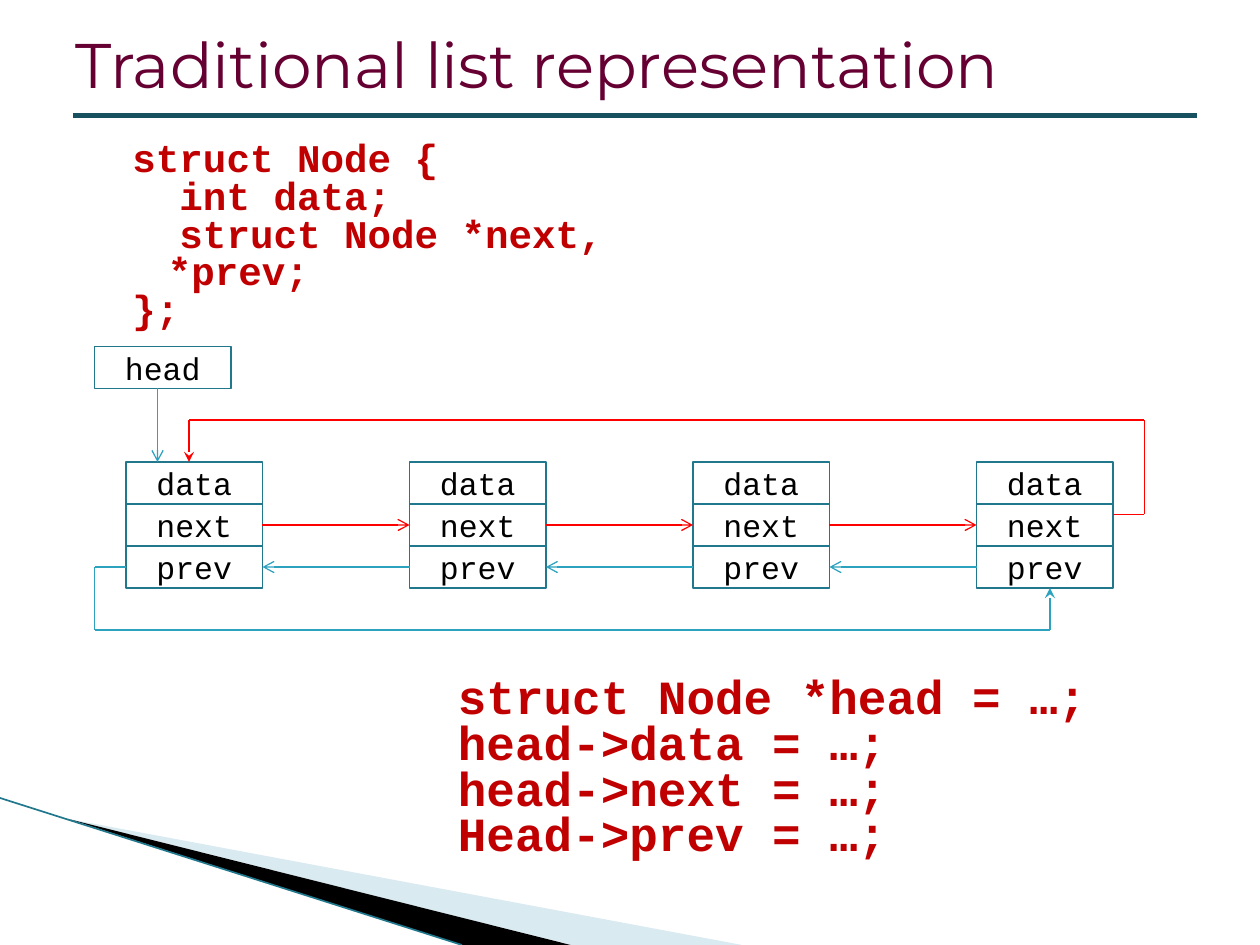
import pptx
import pptx.dml.color
import pptx.enum.shapes
import pptx.enum.text
import pptx.oxml
import pptx.oxml.ns
import pptx.util
from itertools import pairwise

Pt = pptx.util.Pt
RGBColor = pptx.dml.color.RGBColor
MSO_SHAPE = pptx.enum.shapes.MSO_SHAPE
MSO_CONNECTOR = pptx.enum.shapes.MSO_CONNECTOR
MSO_ANCHOR = pptx.enum.text.MSO_ANCHOR
PP_ALIGN = pptx.enum.text.PP_ALIGN

BLACK = RGBColor(0x00, 0x00, 0x00)
PLUM = RGBColor(0x66, 0x00, 0x33)
CODE_RED = RGBColor(0xC0, 0x00, 0x00)
NEXT_RED = RGBColor(0xFF, 0x00, 0x00)
PREV_BLUE = RGBColor(0x2D, 0xA2, 0xBF)
CELL_TEAL = RGBColor(0x21, 0x78, 0x8D)
RULE_TEAL = RGBColor(0x17, 0x51, 0x60)
SWOOSH_BLUE = RGBColor(0xA0, 0xCB, 0xDC)

MONO = "Courier New"
CELL_W, CELL_H = 78, 24
NODE_STEP = 162
FIELDS = ("data", "next", "prev")


def add_xml(parent, tag, **attrs):
    """Append a DrawingML element with the given attributes."""
    el = pptx.oxml.parse_xml(f"<a:{tag} {pptx.oxml.ns.nsdecls('a')}/>")
    for name, value in attrs.items():
        el.set(name, value)
    parent.append(el)


def write(s, text, font=MONO, size=18, color=BLACK, bold=False, align=PP_ALIGN.LEFT,
          anchor=MSO_ANCHOR.MIDDLE, spacing=None, hanging=None):
    """Fill a shape with text, one paragraph per line."""
    tf = s.text_frame
    tf.word_wrap = True
    tf.vertical_anchor = anchor
    for i, line in enumerate(text.split("\n")):
        p = tf.paragraphs[0] if i == 0 else tf.add_paragraph()
        p.alignment = align
        if spacing:
            p.line_spacing = spacing
        if hanging:
            pPr = p._p.get_or_add_pPr()
            pPr.set("marL", str(Pt(hanging[0])))
            pPr.set("indent", str(Pt(hanging[1])))
        r = p.add_run()
        r.text = line
        r.font.name, r.font.size, r.font.bold = font, Pt(size), bold
        r.font.color.rgb = color


def add_route(slide, points, color, width=0.75, arrow=None):
    """Join points with straight connectors, the last one with an arrowhead."""
    for start, end in pairwise(points):
        s = slide.shapes.add_connector(MSO_CONNECTOR.STRAIGHT, *map(Pt, (*start, *end)))
        s.line.color.rgb = color
        s.line.width = Pt(width)
        if arrow and end == points[-1]:
            add_xml(s.line._get_or_add_ln(), "tailEnd", type=arrow)
        add_xml(s._element.spPr, "effectLst")


def add_wedge(slide, points, color, alpha=None):
    """Draw a filled triangle without an outline."""
    builder = slide.shapes.build_freeform(*points[0], scale=Pt(1))
    builder.add_line_segments(points[1:], close=True)
    s = builder.convert_to_shape()
    s.shadow.inherit = False
    s.fill.solid()
    s.fill.fore_color.rgb = color
    s.line.fill.background()
    if alpha:
        clr = s._element.spPr.find(".//" + pptx.oxml.ns.qn("a:srgbClr"))
        add_xml(clr, "alpha", val=str(alpha * 1000))


def add_swoosh(slide, x, y, bottom):
    """Draw the corner decoration starting at the left edge."""
    tip = (x + 39, y + 12)
    add_wedge(slide, [tip, (x + 424, bottom), (x + 326, bottom)], SWOOSH_BLUE, 40)
    add_wedge(slide, [tip, (x + 326, bottom), (x + 264, bottom)], BLACK)
    add_route(slide, [(x, y), (x + 264, bottom)], CELL_TEAL, 0.95)


def add_title(slide, x, y, w, h, text):
    """Place the title and the rule beneath it."""
    s = slide.shapes.add_textbox(*map(Pt, (x, y, w, h)))
    write(s, text, font="Montserrat", size=36, color=PLUM)
    add_route(slide, [(x + 6, y + h), (x + w, y + h)], RULE_TEAL, 3)


def add_code(slide, x, y, w, h, text, size):
    """Place a code listing with hanging indents."""
    s = slide.shapes.add_textbox(*map(Pt, (x, y, w, h)))
    write(s, text, size=size, color=CODE_RED, bold=True, anchor=MSO_ANCHOR.TOP,
          spacing=0.8, hanging=(28.8, -20.2))


def add_cell(slide, x, y, text):
    """Draw one outlined field of a node."""
    s = slide.shapes.add_shape(MSO_SHAPE.RECTANGLE, *map(Pt, (x, y, CELL_W, CELL_H)))
    s.shadow.inherit = False
    s.fill.background()
    s.line.color.rgb = CELL_TEAL
    s.line.width = Pt(1)
    write(s, text, align=PP_ALIGN.CENTER)


def add_linked_list(slide, x, y, count):
    """Draw the head pointer and a circular doubly linked list of nodes."""
    first, top = x + 18, y + 66
    next_y, prev_y = top + 1.5 * CELL_H, top + 2.5 * CELL_H
    bottom = top + len(FIELDS) * CELL_H
    last = first + (count - 1) * NODE_STEP
    for i in range(count):
        left = first + i * NODE_STEP
        for row, field in enumerate(FIELDS):
            add_cell(slide, left, top + row * CELL_H, field)
        if i:
            gap = left - NODE_STEP + CELL_W
            add_route(slide, [(gap, next_y), (left, next_y)], NEXT_RED, arrow="arrow")
            add_route(slide, [(left, prev_y), (gap, prev_y)], PREV_BLUE, arrow="arrow")
    add_cell(slide, x, y, "head")
    add_route(slide, [(x + 36, y + CELL_H), (x + 36, top)], PREV_BLUE, arrow="arrow")
    right = last + CELL_W
    add_route(slide, [(right, next_y - 6), (right + 18, next_y - 6), (right + 18, top - 24),
                      (first + 36, top - 24), (first + 36, top)], NEXT_RED, arrow="stealth")
    add_route(slide, [(first, prev_y), (x, prev_y), (x, bottom + 24),
                      (last + 42, bottom + 24), (last + 42, bottom)], PREV_BLUE, arrow="stealth")


def main():
    """Build and save the slide."""
    prs = pptx.Presentation()
    prs.slide_width, prs.slide_height = Pt(720), Pt(540)
    slide = prs.slides.add_slide(prs.slide_layouts[6])
    add_swoosh(slide, 0, 456, 540)
    add_title(slide, 36, 6, 648, 60, "Traditional list representation")
    add_code(slide, 60, 78, 384, 120,
             "struct Node {\n  int data;\n  struct Node *next, *prev;\n};", 22.4)
    add_linked_list(slide, 54, 198, 4)
    add_code(slide, 246, 384, 384, 120,
             "struct Node *head = …;\nhead->data = …;\nhead->next = …;\nHead->prev = …;", 27.2)
    prs.save("out.pptx")


if __name__ == "__main__":
    main()
